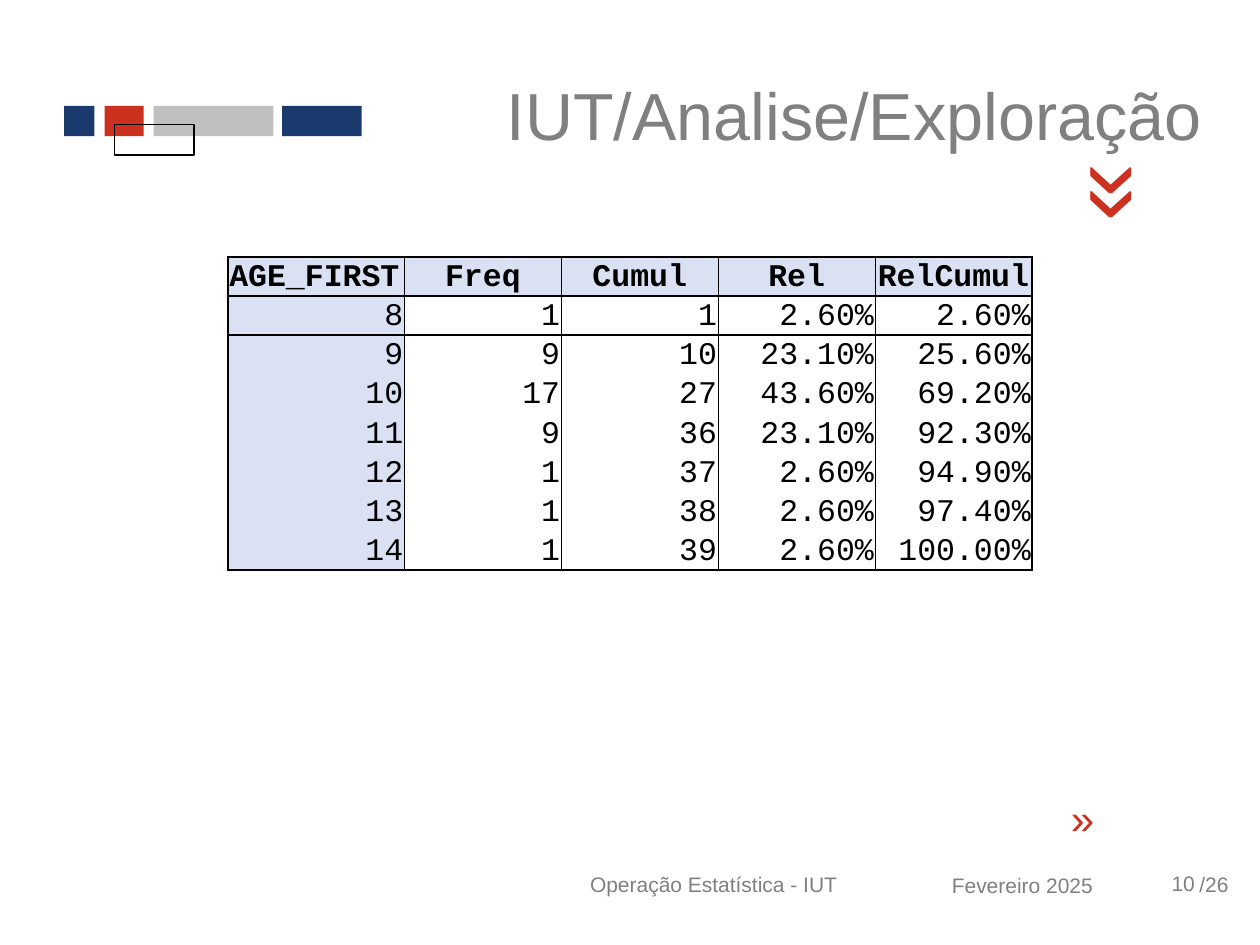
from pptx import Presentation
from pptx.dml.color import RGBColor
from pptx.enum.shapes import MSO_SHAPE as Shape
from pptx.enum.text import MSO_ANCHOR as Anchor, PP_ALIGN as Align
from pptx.oxml.ns import qn
from pptx.util import Inches, Pt
from lxml.etree import SubElement

HUES = {"navy": "1A3A6E", "red": "CC301F", "silver": "C0C0C0",
        "gray": "808080", "black": "000000", "pale": "D9E1F2"}

# left, top, width, fill (None = outline only)
BARS = [(0.51, 0.84, 0.24, "navy"), (0.83, 0.84, 0.31, "red"),
        (1.22, 0.84, 0.95, "silver"), (2.24, 0.84, 0.63, "navy"),
        (0.91, 0.99, 0.63, None)]
BAR_H = 0.24

# text, box, size, colour, alignment, anchor, rotation
TEXTS = [
    ("/26", (9.42, 6.74, 0.62, 0.55), 12, "gray", Align.LEFT, Anchor.MIDDLE, 0),
    ("Operação Estatística - IUT", (4.13, 6.74, 3.07, 0.55), 12, "gray",
     Align.CENTER, Anchor.MIDDLE, 0),
    ("Fevereiro 2025", (7.2, 6.75, 1.83, 0.55), 12, "gray",
     Align.CENTER, Anchor.MIDDLE, 0),
    ("»", (8.4, 6.24, 0.51, 0.5), 24, "red", Align.LEFT, Anchor.TOP, 0),
    ("»", (8.6, 0.98, 0.66, 1.1), 60, "red", Align.CENTER, Anchor.TOP, 90),
    ("10", (9.2, 6.86, 0.44, 0.3), 12, "gray", Align.LEFT, Anchor.TOP, 0),
    ("IUT/Analise/Exploração", (3.03, 0.44, 6.61, 0.93), 38, "gray",
     Align.RIGHT, Anchor.MIDDLE, 0),
]

ROWS = [
    ("AGE_FIRST", "Freq", "Cumul", "Rel", "RelCumul"),
    ("8", "1", "1", "2.60%", "2.60%"),
    ("9", "9", "10", "23.10%", "25.60%"),
    ("10", "17", "27", "43.60%", "69.20%"),
    ("11", "9", "36", "23.10%", "92.30%"),
    ("12", "1", "37", "2.60%", "94.90%"),
    ("13", "1", "38", "2.60%", "97.40%"),
    ("14", "1", "39", "2.60%", "100.00%"),
]
GRID = (1.81, 2.04, 6.38, 2.48)
FIRST_W = 1.4
NO_STYLE = "{2D5ABB26-0587-4C30-8999-92F81FD0307C}"
PADS = {"margin_left": 0.01, "margin_right": 0.01,
        "margin_top": 0.01, "margin_bottom": 0}


def rgb(name):
    return RGBColor.from_string(HUES[name])


def write(frame, text, align, color, **font):
    par = frame.paragraphs[0]
    par.alignment = align
    run = par.add_run()
    run.text = text
    run.font.color.rgb = rgb(color)
    for key, val in font.items():
        setattr(run.font, key, val)


def add_bar(slide, left, top, width, fill):
    bar = slide.shapes.add_shape(
        Shape.RECTANGLE, *map(Inches, (left, top, width, BAR_H)))
    bar.shadow.inherit = False
    if fill:
        bar.fill.solid()
        bar.fill.fore_color.rgb = rgb(fill)
        bar.line.fill.background()
    else:
        bar.fill.background()
        bar.line.color.rgb = rgb("black")
        bar.line.width = Pt(0.75)


def add_text(slide, text, box, size, color, align, anchor, turn):
    shape = slide.shapes.add_textbox(*map(Inches, box))
    shape.rotation = turn
    frame = shape.text_frame
    frame.word_wrap = True
    frame.vertical_anchor = anchor
    write(frame, text, align, color, size=Pt(size), name="Arial")


def edge(cell, side, width):
    props = cell._tc.get_or_add_tcPr()
    line = SubElement(props, qn(f"a:ln{side}"), w=str(Pt(width)))
    fill = SubElement(line, qn("a:solidFill"))
    SubElement(fill, qn("a:srgbClr"), val=HUES["black"])


def add_grid(slide):
    count, wide = len(ROWS), len(ROWS[0])
    frame = slide.shapes.add_table(count, wide, *map(Inches, GRID))
    grid = frame.table
    grid.first_row = grid.horz_banding = False
    grid._tbl.tblPr.find(qn("a:tableStyleId")).text = NO_STYLE
    for c, col in enumerate(grid.columns):
        col.width = Inches((GRID[2] - FIRST_W) / (wide - 1) if c else FIRST_W)
    for r, row in enumerate(ROWS):
        grid.rows[r].height = Inches(GRID[3] / count)
        for c, text in enumerate(row):
            cell = grid.cell(r, c)
            for key, val in PADS.items():
                setattr(cell, key, Inches(val))
            cell.vertical_anchor = Anchor.BOTTOM
            align = (Align.RIGHT if r else
                     Align.CENTER if c else Align.LEFT)
            write(cell.text_frame, text, align, "black",
                  size=Pt(18), name="Courier New", bold=r == 0)
            edge(cell, "L", 1 if c < 2 else 0.5)
            edge(cell, "R", 1 if c in (0, wide - 1) else 0.5)
            if r < 2:
                edge(cell, "T", 1)
            if r in (0, count - 1):
                edge(cell, "B", 1)
            if r == 0 or c == 0:
                cell.fill.solid()
                cell.fill.fore_color.rgb = rgb("pale")
            else:
                cell.fill.background()


def main():
    deck = Presentation()
    deck.slide_width, deck.slide_height = Inches(10), Inches(7.5)
    slide = deck.slides.add_slide(deck.slide_layouts[6])
    for bar in BARS:
        add_bar(slide, *bar)
    for item in TEXTS:
        add_text(slide, *item)
    add_grid(slide)
    deck.save("out.pptx")


if __name__ == "__main__":
    main()
